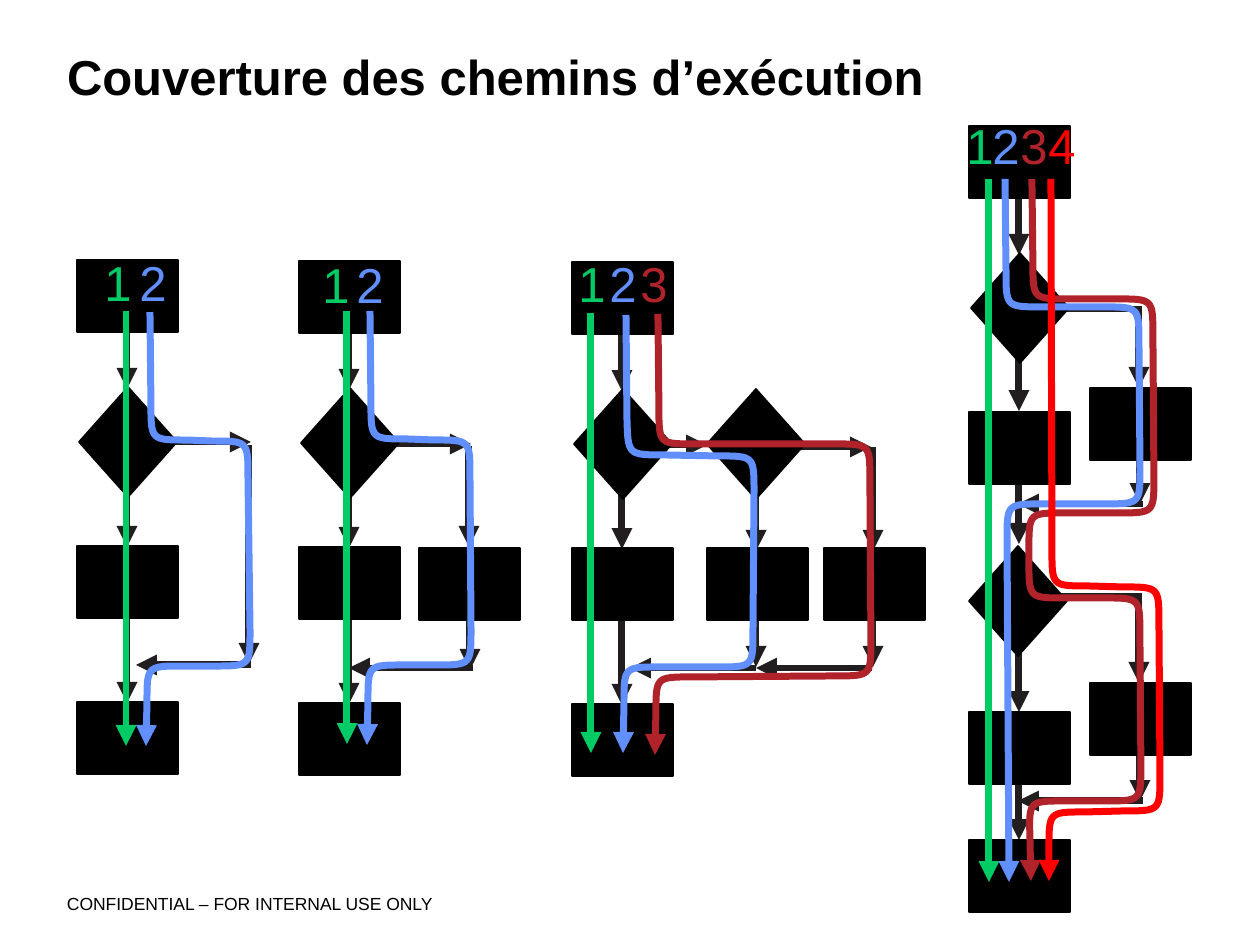
from math import hypot
from pptx import Presentation
from pptx.dml.color import RGBColor
from pptx.enum.shapes import MSO_CONNECTOR, MSO_SHAPE
from pptx.enum.text import MSO_ANCHOR, MSO_AUTO_SIZE, PP_ALIGN
from pptx.oxml.ns import qn
from pptx.util import Pt
from lxml.etree import Element, SubElement

PIXEL = 914400 / 126
BLACK = RGBColor(0x00, 0x00, 0x00)
WHITE = RGBColor(0xFF, 0xFF, 0xFF)
INK = RGBColor(0x22, 0x1E, 0x1F)
GREEN = RGBColor(0x00, 0xCC, 0x66)
BLUE = RGBColor(0x61, 0x8F, 0xFD)
BROWN = RGBColor(0xB0, 0x23, 0x2A)
RED = RGBColor(0xFF, 0x00, 0x00)
NO_MARGINS = dict.fromkeys(
    ("margin_left", "margin_top", "margin_right", "margin_bottom"), 0)
CORNER_RADIUS = 36

presentation = Presentation()
presentation.slide_width, presentation.slide_height = (
    round(1260 * PIXEL), round(945 * PIXEL))
slide = presentation.slides.add_slide(presentation.slide_layouts[5])


def write(shape, text, size, color, bold=False, **frame_format):
    """Put one formatted line of text into a shape."""
    frame = shape.text_frame
    for name, value in frame_format.items():
        setattr(frame, name, value)
    paragraph = frame.paragraphs[0]
    paragraph.alignment = PP_ALIGN.LEFT
    run = paragraph.add_run()
    run.text = text
    for name, value in {"name": "Arial", "size": Pt(size), "bold": bold}.items():
        setattr(run.font, name, value)
    run.font.color.rgb = color


def draw_line(points, color, arrow=True):
    """Draw a straight connector, or a route with rounded corners."""
    start, *corners, end = points
    if corners:
        segments = []
        for before, corner, after in zip(points, corners, points[2:]):
            enter, leave = [
                tuple(round(c + (n - c) * CORNER_RADIUS / hypot(
                    near[0] - corner[0], near[1] - corner[1]))
                    for c, n in zip(corner, near))
                for near in (before, after)]
            segments += [enter, corner, corner, leave]
        builder = slide.shapes.build_freeform(*start, scale=PIXEL)
        builder.add_line_segments(segments + [end], close=False)
        shape = builder.convert_to_shape()
        shape.fill.background()
        shape.shadow.inherit = False
        # Turn the last three points of each corner into one curve
        steps = list(shape._element.iter(qn("a:lnTo")))
        for index in range(1, len(steps) - 1, 4):
            curve = Element(qn("a:cubicBezTo"))
            steps[index].addprevious(curve)
            for step in steps[index:index + 3]:
                curve.append(step[0])
                step.getparent().remove(step)
    else:
        shape = slide.shapes.add_connector(
            MSO_CONNECTOR.STRAIGHT, *[round(v * PIXEL) for v in (*start, *end)])
        SubElement(shape._element.spPr, qn("a:effectLst"))
    shape.line.color.rgb = color
    shape.line.width = Pt(4)
    if arrow:
        SubElement(shape.line._get_or_add_ln(), qn("a:tailEnd"), type="triangle")


# Title
title = slide.shapes.title
for name, value in {"left": 67, "top": 47, "width": 1155, "height": 74}.items():
    setattr(title, name, round(value * PIXEL))
title.fill.solid()
title.fill.fore_color.rgb = WHITE
write(title, "Couverture des chemins d’exécution", 28, BLACK, bold=True,
      vertical_anchor=MSO_ANCHOR.TOP, auto_size=MSO_AUTO_SIZE.NONE, **NO_MARGINS)

# Footer
footer = slide.shapes.add_textbox(*[round(v * PIXEL) for v in (67, 893, 557, 25)])
write(footer, "CONFIDENTIAL – FOR INTERNAL USE ONLY", 10, BLACK,
      word_wrap=True, **NO_MARGINS)

# Branch arrows of the four flow charts
arrows = [
    (135, 442, 251, 442), (249, 445, 249, 664), (251, 665, 136, 665),
    (357, 444, 471, 444), (469, 446, 469, 547), (470, 577, 470, 670),
    (473, 668, 349, 668),
    (621, 445, 707, 445), (785, 447, 871, 447), (756, 457, 756, 551),
    (756, 573, 756, 667), (873, 447, 873, 551), (873, 573, 873, 667),
    (872, 668, 756, 668), (756, 668, 630, 668),
    (1139, 311, 1139, 388), (1140, 418, 1140, 504), (1143, 504, 1018, 504),
    (1139, 600, 1139, 683), (1140, 712, 1140, 801), (1143, 801, 1018, 801),
]
boxes = [(419, 548), (707, 548), (824, 548), (1090, 388), (1090, 683)]
diamonds = [(707, 389), (971, 253), (969, 546)]

# Main column of the three left charts
for x, shift in ((127, 0), (349, 1), (622, 2)):
    arrows += [(x, top + shift, x, bottom + shift)
               for top, bottom in ((296, 389), (454, 547), (611, 703))]
    boxes += [(x - 50, y + shift) for y in (260, 546, 702)]
    diamonds.append((x - 48, 387 + shift))

# Main column of the right chart
arrows += [(1019, top, 1019, bottom) for top, bottom in (
    (163, 255), (320, 411), (451, 544), (609, 712), (757, 840))]
boxes += [(969, y) for y in (126, 412, 712, 840)]

for x1, y1, x2, y2 in arrows:
    draw_line([(x1, y1), (x2, y2)], INK)
for y in (309, 597):
    draw_line([(1027, y), (1142, y)], INK, arrow=False)

# Steps and decisions
nodes = [(MSO_SHAPE.RECTANGLE, x, y, 101, 72) for x, y in boxes]
nodes += [(MSO_SHAPE.DIAMOND, x, y, 98, 110) for x, y in diamonds]
for kind, *bounds in nodes:
    node = slide.shapes.add_shape(kind, *[round(v * PIXEL) for v in bounds])
    node.shadow.inherit = False
    node.fill.solid()
    node.fill.fore_color.rgb = BLACK
    node.line.color.rgb = BLACK
    node.line.width = Pt(1)

# Execution paths: number, left and top of the number, colour, route
routes = [
    ("1", 92, 246, GREEN, [(126, 311), (126, 746)]),
    ("2", 127, 246, BLUE, [(150, 312), (151, 440), (248, 441), (250, 666),
                           (147, 666), (146, 746)]),
    ("1", 310, 248, GREEN, [(347, 311), (347, 744)]),
    ("2", 344, 248, BLUE, [(370, 311), (371, 439), (470, 440), (471, 665),
                           (368, 665), (367, 745)]),
    ("1", 566, 247, GREEN, [(591, 313), (591, 753)]),
    ("2", 597, 247, BLUE, [(626, 315), (628, 455), (754, 456), (753, 667),
                           (624, 667), (623, 753)]),
    ("3", 628, 247, BROWN, [(658, 314), (659, 444), (870, 444), (871, 676),
                            (656, 677), (655, 755)]),
    ("1", 954, 109, GREEN, [(989, 179), (989, 882)]),
    ("2", 980, 109, BLUE, [(1005, 179), (1006, 307), (1139, 307), (1140, 504),
                           (1007, 504), (1009, 882)]),
    ("3", 1008, 109, BROWN, [(1032, 179), (1033, 299), (1153, 299), (1154, 513),
                             (1029, 513), (1029, 598), (1140, 598), (1141, 801),
                             (1029, 801), (1031, 881)]),
    ("4", 1036, 109, RED, [(1051, 179), (1052, 586), (1159, 587), (1160, 811),
                           (1049, 812), (1049, 881)]),
]
for number, left, top, color, route in routes:
    draw_line(route, color)
    label = slide.shapes.add_textbox(*[round(v * PIXEL) for v in (left, top, 49, 72)])
    write(label, number, 28, color, word_wrap=False)

presentation.save("out.pptx")
